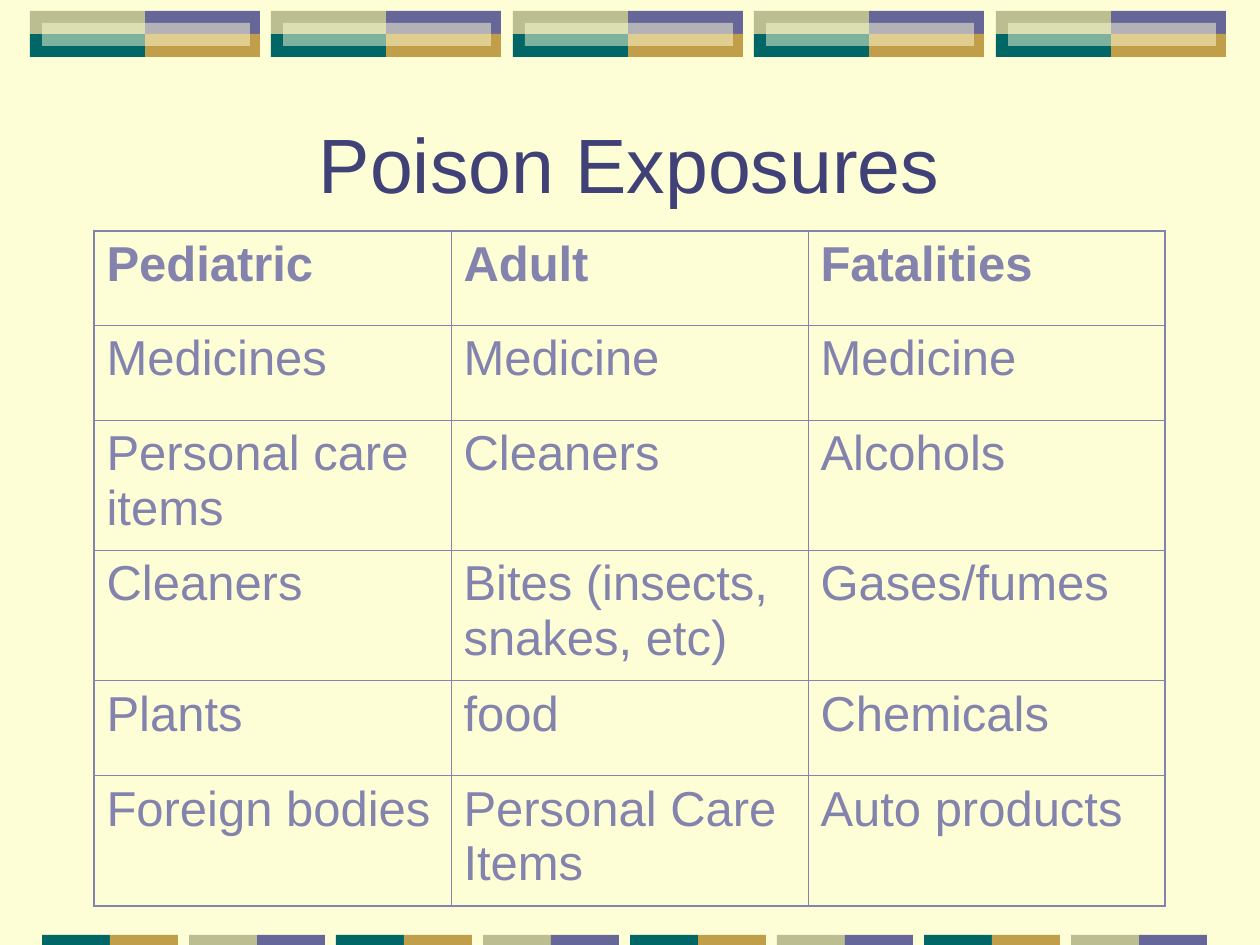
from dataclasses import dataclass

from lxml import etree
from pptx import Presentation
from pptx.dml.color import RGBColor
from pptx.enum.shapes import MSO_SHAPE
from pptx.enum.text import MSO_ANCHOR, PP_ALIGN
from pptx.oxml.ns import qn
from pptx.slide import Slide
from pptx.table import _Cell
from pptx.text.text import _Paragraph
from pptx.util import Emu, Pt

RECTANGLE = MSO_SHAPE.RECTANGLE
MIDDLE = MSO_ANCHOR.MIDDLE
CENTER = PP_ALIGN.CENTER
EMU_PER_PX = 914400 / 126


@dataclass(frozen=True)
class Theme:
    background: str = "FEFED6"
    purple: str = "666699"
    gold: str = "C09E4A"
    teal: str = "006666"
    olive: str = "BABE90"
    title: str = "404176"
    table: str = "8383AD"
    font: str = "Arial"
    title_size: int = 44
    table_size: int = 28
    space_before: int = 7
    inner_line: float = 0.45
    outer_line: float = 1.08


@dataclass(frozen=True)
class Box:
    left: int
    top: int
    width: int
    height: int

    def emu(self) -> tuple[Emu, Emu, Emu, Emu]:
        return px(self.left), px(self.top), px(self.width), px(self.height)


THEME = Theme()
TITLE_BOX = Box(94, 84, 1071, 158)
TABLE_BOX = Box(94, 231, 1071, 674)
ROW_HEIGHTS = (94, 95, 130, 130, 95, 130)
ROWS = (
    ("Pediatric", "Adult", "Fatalities"),
    ("Medicines", "Medicine", "Medicine"),
    ("Personal care items", "Cleaners", "Alcohols"),
    ("Cleaners", "Bites (insects, snakes, etc)", "Gases/fumes"),
    ("Plants", "food", "Chemicals"),
    ("Foreign bodies", "Personal Care Items", "Auto products"),
)


def px(length: int) -> Emu:
    return Emu(round(length * EMU_PER_PX))


def add_bar(slide: Slide, box: Box, color: str, opacity: int = 100) -> None:
    shape = slide.shapes.add_shape(RECTANGLE, *box.emu())
    shape.shadow.inherit = False
    shape.fill.solid()
    shape.fill.fore_color.rgb = RGBColor.from_string(color)
    shape.line.fill.background()
    if opacity < 100:
        color_element = next(shape._element.spPr.iter(qn("a:srgbClr")))
        etree.SubElement(color_element, qn("a:alpha"), val=str(opacity * 1000))


def add_top_block(slide: Slide, left: int) -> None:
    top, half, height = 11, 115, 23
    middle, lower = left + half, top + height
    add_bar(slide, Box(middle, top, half, height), THEME.purple)
    add_bar(slide, Box(middle, lower, half, height), THEME.gold)
    add_bar(slide, Box(left, lower, half, height), THEME.teal)
    add_bar(slide, Box(left, top, half, height), THEME.olive)
    add_bar(slide, Box(left + 12, top + 12, 208, height), THEME.background, 50)


def add_bottom_bar(slide: Slide, left: int, colors: tuple[str, str]) -> None:
    for side, color in enumerate(colors):
        add_bar(slide, Box(left + 68 * side, 935, 68, 10), color)


def format_text(paragraph: _Paragraph, size: int, color: str, bold: bool = False) -> None:
    for run in paragraph.runs:
        run.font.name = THEME.font
        run.font.size = Pt(size)
        run.font.bold = bold
        run.font.color.rgb = RGBColor.from_string(color)


def add_title(slide: Slide, text: str) -> None:
    text_frame = slide.shapes.add_textbox(*TITLE_BOX.emu()).text_frame
    text_frame.word_wrap = True
    text_frame.vertical_anchor = MIDDLE
    text_frame.text = text
    paragraph = text_frame.paragraphs[0]
    paragraph.alignment = CENTER
    format_text(paragraph, THEME.title_size, THEME.title)


def set_borders(cell: _Cell, outer_edges: dict[str, bool]) -> None:
    properties = cell._tc.get_or_add_tcPr()
    for position, (edge, is_outer) in enumerate(outer_edges.items()):
        width = THEME.outer_line if is_outer else THEME.inner_line
        line = etree.Element(qn(f"a:ln{edge}"), w=str(Pt(width)))
        fill = etree.SubElement(line, qn("a:solidFill"))
        etree.SubElement(fill, qn("a:srgbClr"), val=THEME.table)
        properties.insert(position, line)


def add_exposure_table(slide: Slide) -> None:
    row_count, column_count = len(ROWS), len(ROWS[0])
    table = slide.shapes.add_table(row_count, column_count, *TABLE_BOX.emu()).table
    table.first_row = False
    table.horz_banding = False
    for column in table.columns:
        column.width = px(TABLE_BOX.width // column_count)
    for row_index, (texts, height) in enumerate(zip(ROWS, ROW_HEIGHTS)):
        table.rows[row_index].height = px(height)
        for column_index, text in enumerate(texts):
            cell = table.cell(row_index, column_index)
            cell.fill.background()
            cell.text_frame.text = text
            paragraph = cell.text_frame.paragraphs[0]
            paragraph.space_before = Pt(THEME.space_before)
            format_text(paragraph, THEME.table_size, THEME.table, row_index == 0)
            set_borders(cell, {
                "L": column_index == 0,
                "R": column_index == column_count - 1,
                "T": row_index == 0,
                "B": row_index == row_count - 1,
            })


def main() -> None:
    presentation = Presentation()
    presentation.slide_width, presentation.slide_height = px(1260), px(945)
    slide = presentation.slides.add_slide(presentation.slide_layouts[6])
    slide.background.fill.solid()
    slide.background.fill.fore_color.rgb = RGBColor.from_string(THEME.background)

    # Decorative bands along the top and bottom edges
    for index in range(5):
        add_top_block(slide, 30 + 966 * index // 4)
    color_pairs = ((THEME.teal, THEME.gold), (THEME.olive, THEME.purple))
    for index in range(8):
        add_bottom_bar(slide, 42 + 147 * index, color_pairs[index % 2])

    # Title and table
    add_title(slide, "Poison Exposures")
    add_exposure_table(slide)

    presentation.save("out.pptx")


if __name__ == "__main__":
    main()
